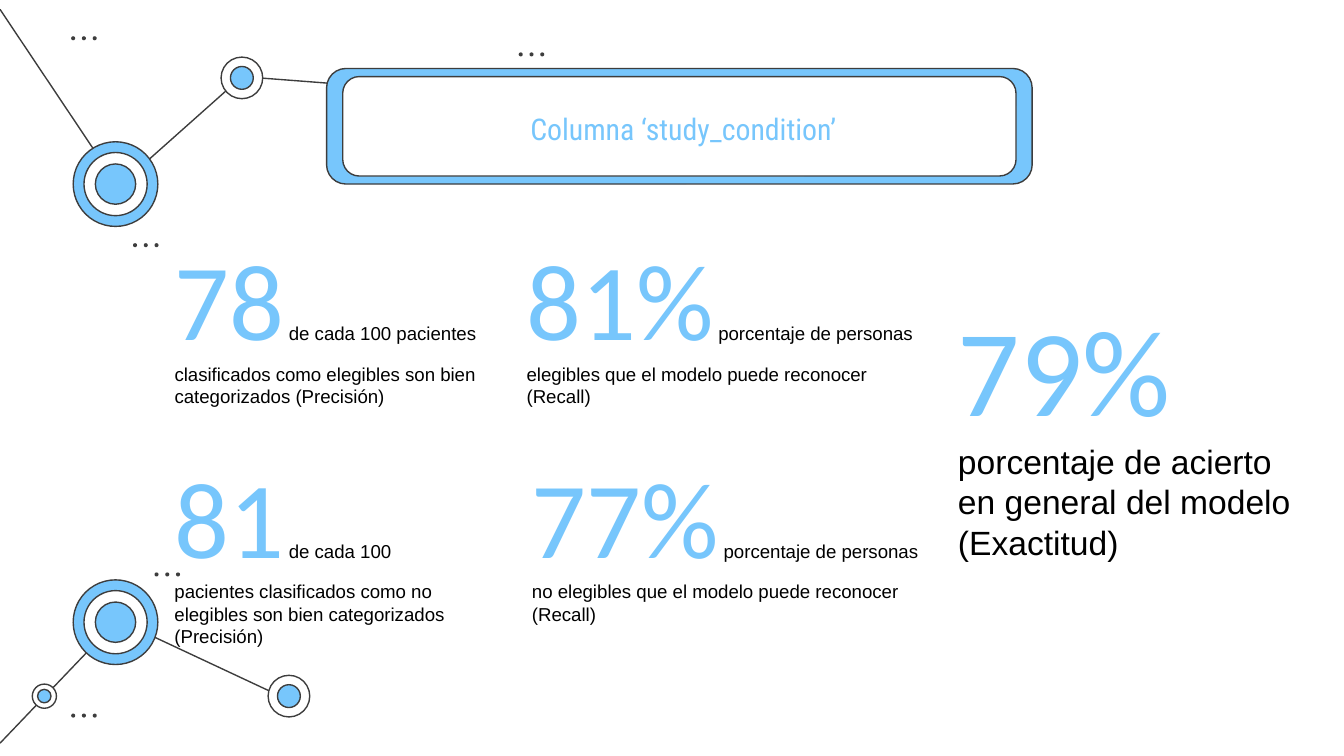
from lxml import etree
from pptx import Presentation
from pptx.dml.color import RGBColor
from pptx.enum.shapes import MSO_CONNECTOR, MSO_SHAPE
from pptx.enum.text import MSO_ANCHOR, MSO_AUTO_SIZE, PP_ALIGN
from pptx.oxml.ns import qn
from pptx.util import Inches, Pt

COLORS = {"blue": "77C6FC", "dark": "3D3D3D", "white": "FFFFFF", "black": "000000"}
LARGE_NODE = [(0.63, "blue"), (0.47, "white"), (0.3, "blue")]
MEDIUM_NODE = [(0.31, "white"), (0.17, "blue")]
SMALL_NODE = [(0.18, "white"), (0.1, "blue")]


def color(name):
    return RGBColor.from_string(COLORS[name])


def add_line(s, x1, y1, x2, y2):
    line = s.shapes.add_connector(
        MSO_CONNECTOR.STRAIGHT, Inches(x1), Inches(y1), Inches(x2), Inches(y2))
    line.line.color.rgb = color("dark")
    line.line.width = Pt(0.75)
    etree.SubElement(line.element.spPr, qn("a:effectLst"))


def add_shape(s, kind, x, y, w, h, fill, outlined=True):
    sp = s.shapes.add_shape(kind, Inches(x), Inches(y), Inches(w), Inches(h))
    sp.shadow.inherit = False
    sp.fill.solid()
    sp.fill.fore_color.rgb = color(fill)
    if outlined:
        sp.line.color.rgb = color("dark")
        sp.line.width = Pt(0.75)
    else:
        sp.line.fill.background()


def add_node(s, cx, cy, rings):
    for d, fill in rings:
        add_shape(s, MSO_SHAPE.OVAL, cx - d / 2, cy - d / 2, d, d, fill)


def add_dots(s, x, y):
    for i in range(3):
        add_shape(s, MSO_SHAPE.OVAL, x + 0.08 * i, y, 0.03, 0.03, "dark", outlined=False)


def add_run(p, text, size, font="Arial", fill="black"):
    r = p.add_run()
    r.text = text
    r.font.size = Pt(size)
    r.font.name = font
    r.font.color.rgb = color(fill)


def set_frame(tf, auto_size, anchor):
    tf.word_wrap = True
    tf.auto_size = auto_size
    tf.vertical_anchor = anchor
    tf.margin_left = tf.margin_right = tf.margin_top = tf.margin_bottom = Inches(0.1)


def add_metric(s, x, y, w, h, value, label, value_size=58, label_size=10):
    box = s.shapes.add_textbox(Inches(x), Inches(y), Inches(w), Inches(h))
    tf = box.text_frame
    set_frame(tf, MSO_AUTO_SIZE.SHAPE_TO_FIT_TEXT, MSO_ANCHOR.TOP)
    p = tf.paragraphs[0]
    add_run(p, value, value_size, font="Calibri", fill="blue")
    add_run(p, " ", label_size - 1)
    add_run(p, label, label_size)


def add_title(s, text):
    for x, y, w, h, fill in [(2.43, 0.51, 5.25, 0.86, "blue"),
                             (2.55, 0.57, 5.01, 0.74, "white")]:
        add_shape(s, MSO_SHAPE.ROUNDED_RECTANGLE, x, y, w, h, fill)
    title = s.shapes.title
    title.left, title.top = Inches(2.58), Inches(0.62)
    title.width, title.height = Inches(5.01), Inches(0.67)
    set_frame(title.text_frame, MSO_AUTO_SIZE.NONE, MSO_ANCHOR.MIDDLE)
    p = title.text_frame.paragraphs[0]
    p.alignment = PP_ALIGN.CENTER
    add_run(p, text, 16, font="Roboto Condensed", fill="blue")
    s.shapes.element.append(title.element)


def add_network(s):
    for ends in [(1.8, 0.57, 3.63, 0.71), (0.88, 1.39, 1.79, 0.58), (0, 0.07, 0.87, 1.37),
                 (0.87, 4.61, 2.13, 5.2), (0, 5.53, 0.87, 4.62)]:
        add_line(s, *ends)
    for cx, cy, rings in [(0.86, 1.37, LARGE_NODE), (1.8, 0.58, MEDIUM_NODE),
                          (0.86, 4.63, LARGE_NODE), (2.15, 5.18, MEDIUM_NODE),
                          (0.33, 5.18, SMALL_NODE)]:
        add_node(s, cx, cy, rings)
    for x, y in [(3.86, 0.39), (0.53, 0.27), (0.99, 1.81), (0.53, 5.31), (1.15, 4.26)]:
        add_dots(s, x, y)


def main():
    prs = Presentation()
    prs.slide_width = Inches(10)
    prs.slide_height = prs.slide_width * 9 // 16
    s = prs.slides.add_slide(prs.slide_layouts[5])
    add_network(s)
    add_title(s, "Columna ‘study_condition’")
    add_metric(s, 1.2, 1.63, 2.52, 1.52, "78",
               "de cada 100 pacientes clasificados como elegibles son bien categorizados (Precisión)")
    add_metric(s, 1.2, 3.25, 2.4, 1.52, "81",
               "de cada 100 pacientes clasificados como no elegibles son bien categorizados (Precisión)")
    add_metric(s, 3.82, 1.63, 3.12, 1.52, "81%",
               "porcentaje de personas elegibles que el modelo puede reconocer (Recall)")
    add_metric(s, 3.86, 3.25, 3.12, 1.52, "77%",
               "porcentaje de personas no elegibles que el modelo puede reconocer (Recall)")
    add_metric(s, 7.03, 2.08, 2.8, 2.22, "79%",
               "porcentaje de acierto en general del modelo (Exactitud)",
               value_size=66, label_size=18)
    prs.save("out.pptx")


if __name__ == "__main__":
    main()
